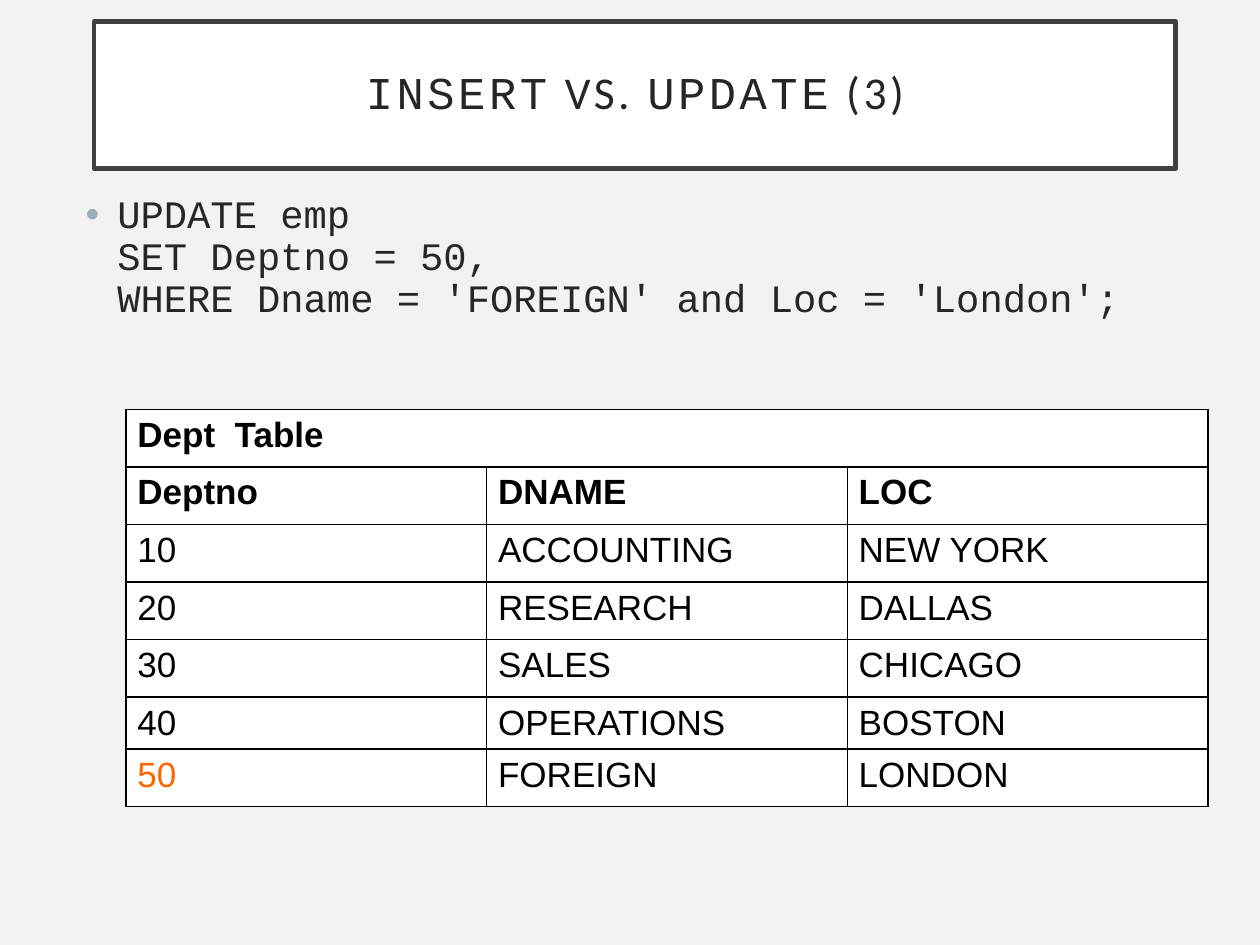
from pptx import Presentation
from pptx.dml.color import RGBColor
from pptx.enum.text import MSO_ANCHOR as Anchor, MSO_AUTO_SIZE as AutoSize, PP_ALIGN as Align
from pptx.oxml import parse_xml
from pptx.oxml.ns import nsdecls
from pptx.util import Cm, Pt

TITLE = [("INSERT", "code"), (" VS. ", "text"), ("UPDATE", "code"), (" (3)", "text")]
STATEMENT = [
    "UPDATE emp",
    "SET Deptno = 50, ",
    "WHERE Dname = 'FOREIGN' and Loc = 'London'; ",
]
TABLE_TITLE = "Dept  Table"
HEADERS = ("Deptno", "DNAME", "LOC")
DEPARTMENTS = [
    ("10", "ACCOUNTING", "NEW YORK"),
    ("20", "RESEARCH", "DALLAS"),
    ("30", "SALES", "CHICAGO"),
    ("40", "OPERATIONS", "BOSTON"),
    ("50", "FOREIGN", "LONDON"),
]
CHANGED = "50"


class Theme:
    background = "F2F2F2"
    paper = "FFFFFF"
    frame = "404040"
    ink = "262626"
    bullet = "9BAFB5"
    grid = "000000"
    accent = "FF6600"
    fonts = {"code": "Courier New", "text": "Calibri", "table": "Arial"}
    title_size = Pt(26)
    statement_size = Pt(22.2)
    table_size = Pt(20)


def apply(target, values):
    for name, value in values.items():
        setattr(target, name, value)


def fill(target, color):
    target.fill.solid()
    target.fill.fore_color.rgb = RGBColor.from_string(color)


def style(run, font, size, color, bold=False):
    apply(run.font, {"name": Theme.fonts[font], "size": size, "bold": bold})
    run.font.color.rgb = RGBColor.from_string(color)


def place(shape, left, top, width, height):
    apply(shape, {"left": Cm(left), "top": Cm(top), "width": Cm(width), "height": Cm(height)})


def element(xml):
    return parse_xml(f"<a:holder {nsdecls('a')}>{xml}</a:holder>")[0]


def build_title(shape):
    place(shape, 1.9, 0.43, 21.8, 2.97)
    fill(shape, Theme.paper)
    shape.line.color.rgb = RGBColor.from_string(Theme.frame)
    shape.line.width = Pt(2.5)
    margins = {f"margin_{side}": Cm(0.51) for side in ("left", "top", "right", "bottom")}
    apply(shape.text_frame, {"vertical_anchor": Anchor.MIDDLE, "auto_size": AutoSize.NONE, **margins})
    paragraph = shape.text_frame.paragraphs[0]
    apply(paragraph, {"alignment": Align.CENTER, "line_spacing": 0.9})
    for text, font in TITLE:
        run = paragraph.add_run()
        run.text = text
        style(run, font, Theme.title_size, Theme.ink)
        run.font._element.set("spc", "200")


def build_statement(shape):
    place(shape, 1.47, 3.81, 23.93, 4.09)
    apply(shape.text_frame, {"auto_size": AutoSize.NONE, "vertical_anchor": Anchor.TOP})
    paragraph = shape.text_frame.paragraphs[0]
    paragraph.text = "\v".join(STATEMENT)
    apply(paragraph, {"line_spacing": 0.9, "space_before": Pt(10)})
    for run in paragraph.runs:
        style(run, "code", Theme.statement_size, Theme.ink)
    size = Theme.statement_size.centipoints
    for line_break in paragraph._p.findall("{*}br"):
        line_break.append(element(
            f'<a:rPr sz="{size}"><a:latin typeface="{Theme.fonts["code"]}"/></a:rPr>'))
    properties = paragraph._p.get_or_add_pPr()
    properties.set("marL", str(Cm(0.64)))
    properties.set("indent", str(-Cm(0.64)))
    properties.append(element(f'<a:buClr><a:srgbClr val="{Theme.bullet}"/></a:buClr>'))
    properties.append(element('<a:buFont typeface="Arial"/>'))
    properties.append(element('<a:buChar char="•"/>'))


def write_cell(cell, text, bold):
    fill(cell, Theme.paper)
    apply(cell, {"margin_left": Cm(0.23), "margin_right": Cm(0.23),
                 "margin_top": Cm(0.13), "margin_bottom": Cm(0.13)})
    paragraph = cell.text_frame.paragraphs[0]
    paragraph._p.get_or_add_pPr().append(
        element('<a:spcBef><a:spcPct val="20000"/></a:spcBef>'))
    if text:
        run = paragraph.add_run()
        run.text = text
        color = Theme.accent if text == CHANGED else Theme.grid
        style(run, "table", Theme.table_size, color, bold)
    properties = cell._tc.get_or_add_tcPr()
    for index, side in enumerate(("lnL", "lnR", "lnT", "lnB")):
        properties.insert(index, element(
            f'<a:{side} w="{Pt(1)}"><a:solidFill><a:srgbClr val="{Theme.grid}"/>'
            f"</a:solidFill></a:{side}>"))


def build_table(slide):
    rows = [(TABLE_TITLE, "", ""), HEADERS, *DEPARTMENTS]
    heights = [1.16] * len(rows)
    heights[-2] = 0.86
    frame = slide.shapes.add_table(
        len(rows), len(HEADERS), Cm(2.54), Cm(8.25), Cm(21.81), Cm(sum(heights)))
    table = frame.table
    apply(table, {"first_row": False, "horz_banding": False})
    for column in table.columns:
        column.width = Cm(7.27)
    for index, (texts, height) in enumerate(zip(rows, heights)):
        table.rows[index].height = Cm(height)
        for position, text in enumerate(texts):
            write_cell(table.cell(index, position), text, bold=index < 2)
    table.cell(0, 0).merge(table.cell(0, len(HEADERS) - 1))


presentation = Presentation()
apply(presentation, {"slide_width": Cm(25.4), "slide_height": Cm(19.05)})
slide = presentation.slides.add_slide(presentation.slide_layouts[1])
fill(slide.background, Theme.background)
build_title(slide.shapes.title)
build_statement(slide.placeholders[1])
build_table(slide)
presentation.save("out.pptx")
